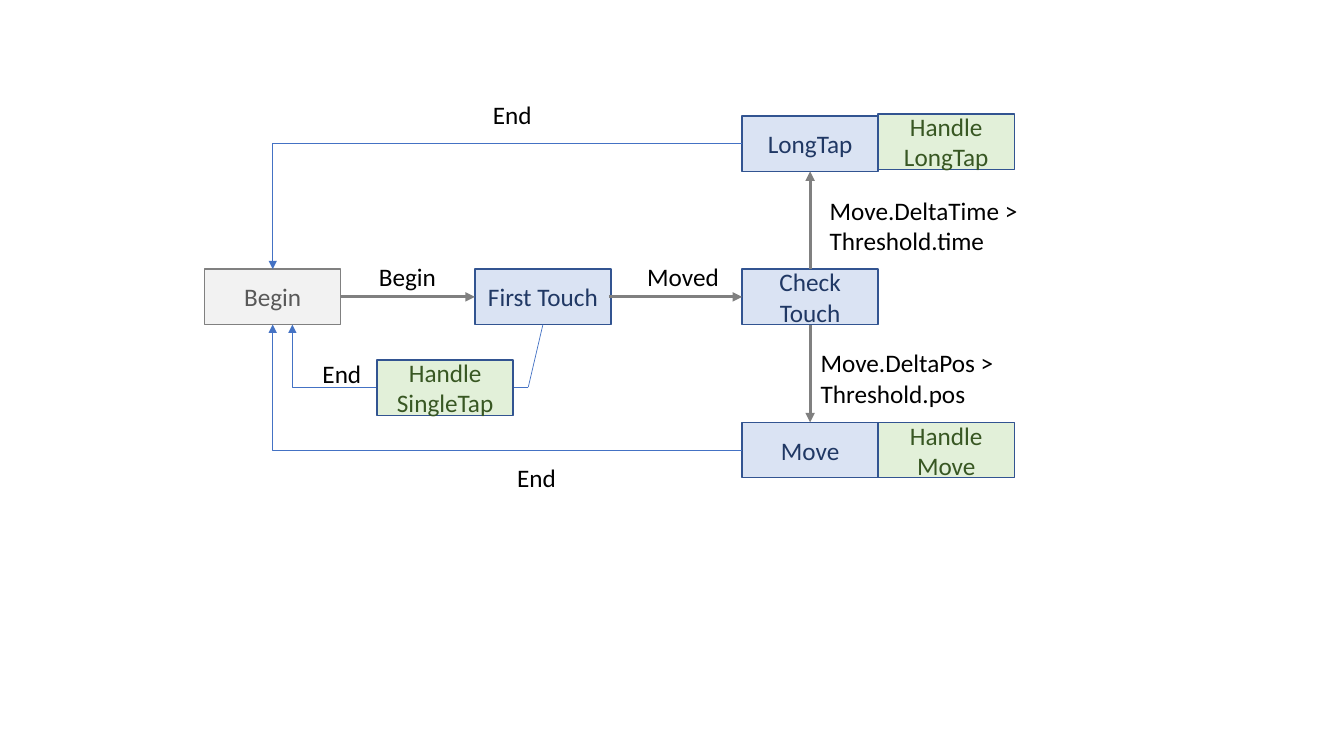
"""Draw a touch-gesture state diagram on one slide."""
from dataclasses import dataclass
from typing import Any, NamedTuple

from lxml.etree import SubElement as Sub
from pptx import Presentation
from pptx.dml.color import RGBColor as Rgb
from pptx.enum.shapes import MSO_CONNECTOR as Conn, MSO_SHAPE as Form
from pptx.enum.text import MSO_ANCHOR as Anchor, MSO_AUTO_SIZE as Fit, PP_ALIGN as Align
from pptx.oxml.ns import qn
from pptx.util import Inches, Pt


@dataclass(frozen=True)
class Theme:
    font: str = "Calibri"
    size: float = 18
    ink: str = "000000"
    edge: str = "325491"
    gray: str = "808080"
    blue: str = "4472C4"
    thin: float = 0.5
    rim: float = 1
    thick: float = 2.25


class Skin(NamedTuple):
    fill: str
    ink: str
    edge: str


class Box(NamedTuple):
    text: str
    left: float
    top: float
    skin: Skin


class Label(NamedTuple):
    text: str
    left: float
    top: float
    width: float
    height: float = 0.4
    wrap: bool = False


class Link(NamedTuple):
    start: tuple[float, float]
    end: tuple[float, float]
    color: str
    weight: float
    bent: bool = False
    arrow: bool = True


theme = Theme()
START = Skin("F2F2F2", "595959", theme.gray)
STATE = Skin("DAE3F3", "203864", theme.edge)
ACTION = Skin("E2F0D9", "385723", theme.edge)

WIDE, HIGH = 1.35, 0.55
BEGIN, FIRST, CHECK = 2.03, 4.71, 7.36
HANDLE = CHECK + WIDE
MID, STEP = 2.67, 1.52
UPPER, LOWER = MID - STEP, MID + STEP
BASE = MID + HIGH
AXIS = MID + HIGH / 2
HOME, STEM = BEGIN + WIDE / 2, CHECK + WIDE / 2

boxes = (
    Box("First Touch", FIRST, MID, STATE),
    Box("Begin", BEGIN, MID, START),
    Box("Check Touch", CHECK, MID, STATE),
    Box("Move", CHECK, LOWER, STATE),
    Box("Handle Move", HANDLE, LOWER, ACTION),
    Box("LongTap", CHECK, UPPER, STATE),
    Box("Handle LongTap", HANDLE, 1.13, ACTION),
)
single = Box("Handle SingleTap", 3.74, 3.57, ACTION)

main = (theme.gray, theme.thick)
back = (theme.blue, theme.thin)
links = (
    Link((BEGIN + WIDE, AXIS), (FIRST, AXIS), *main),
    Link((6.04, AXIS), (CHECK, AXIS), *main),
    Link((STEM, BASE), (STEM, LOWER), *main),
    Link((STEM, MID), (STEM, UPPER + HIGH), *main),
    Link((CHECK, UPPER + HIGH / 2), (HOME, MID), *back, bent=True),
    Link((CHECK, LOWER + HIGH / 2), (HOME, BASE), *back, bent=True),
    Link((5.24, 3.84), (2.9, BASE), *back, bent=True),
    Link((FIRST + WIDE / 2, BASE), (5.24, 3.84), *back, arrow=False),
)

labels = (
    Label("Begin", 3.66, 2.54, 0.78),
    Label("Moved", 6.32, 2.54, 0.92),
    Label("Move.DeltaPos > Threshold.pos", 8.04, 3.4, 3.01, 0.71, True),
    Label("Move.DeltaTime > Threshold.time", 8.13, 1.89, 3.01, 0.71, True),
    Label("End", 4.79, 0.94, 0.59),
    Label("End", 5.03, 4.54, 0.59),
    Label("End", 3.1, 3.51, 0.59),
)


def apply(item: Any, style: dict[str, Any]) -> None:
    for name, value in style.items():
        setattr(item, name, value)


def write(frame: Any, text: str, color: str, align: Align, style: dict[str, Any]) -> None:
    apply(frame, style)
    para = frame.paragraphs[0]
    para.alignment = align
    run = para.add_run()
    run.text = text
    apply(run.font, {"name": theme.font, "size": Pt(theme.size)})
    run.font.color.rgb = Rgb.from_string(color)


def stroke(line: Any, color: str, weight: float) -> None:
    line.color.rgb = Rgb.from_string(color)
    line.width = Pt(weight)


def draw_box(shapes: Any, box: Box) -> None:
    spot = map(Inches, (box.left, box.top, WIDE, HIGH))
    shape = shapes.add_shape(Form.RECTANGLE, *spot)
    shape.shadow.inherit = False
    shape.fill.solid()
    shape.fill.fore_color.rgb = Rgb.from_string(box.skin.fill)
    stroke(shape.line, box.skin.edge, theme.rim)
    style = {"word_wrap": True, "vertical_anchor": Anchor.MIDDLE}
    write(shape.text_frame, box.text, box.skin.ink, Align.CENTER, style)


def draw_label(shapes: Any, label: Label) -> None:
    spot = map(Inches, (label.left, label.top, label.width, label.height))
    frame = shapes.add_textbox(*spot).text_frame
    style = {"word_wrap": label.wrap, "auto_size": Fit.SHAPE_TO_FIT_TEXT}
    write(frame, label.text, theme.ink, Align.LEFT, style)


def draw_link(shapes: Any, link: Link) -> None:
    kind = Conn.ELBOW if link.bent else Conn.STRAIGHT
    line = shapes.add_connector(kind, *map(Inches, link.start + link.end))
    stroke(line.line, link.color, link.weight)
    props = line._element.spPr
    if link.bent:
        props.find(qn("a:prstGeom")).set("prst", "bentConnector2")
        down = link.end[1] > link.start[1]
        turn = {"rot": "10800000", "flipH": "0", "flipV": str(int(down))}
        for name, value in turn.items():
            props.find(qn("a:xfrm")).set(name, value)
    if link.arrow:
        Sub(props.find(qn("a:ln")), qn("a:tailEnd"), type="triangle")
    Sub(props, qn("a:effectLst"))


def main_slide() -> None:
    deck = Presentation()
    apply(deck, {"slide_width": Inches(13.33), "slide_height": Inches(7.5)})
    shapes = deck.slides.add_slide(deck.slide_layouts[6]).shapes
    for box in boxes:
        draw_box(shapes, box)
    for link in links:
        draw_link(shapes, link)
    for label in labels:
        draw_label(shapes, label)
    draw_box(shapes, single)
    deck.save("out.pptx")


main_slide()
